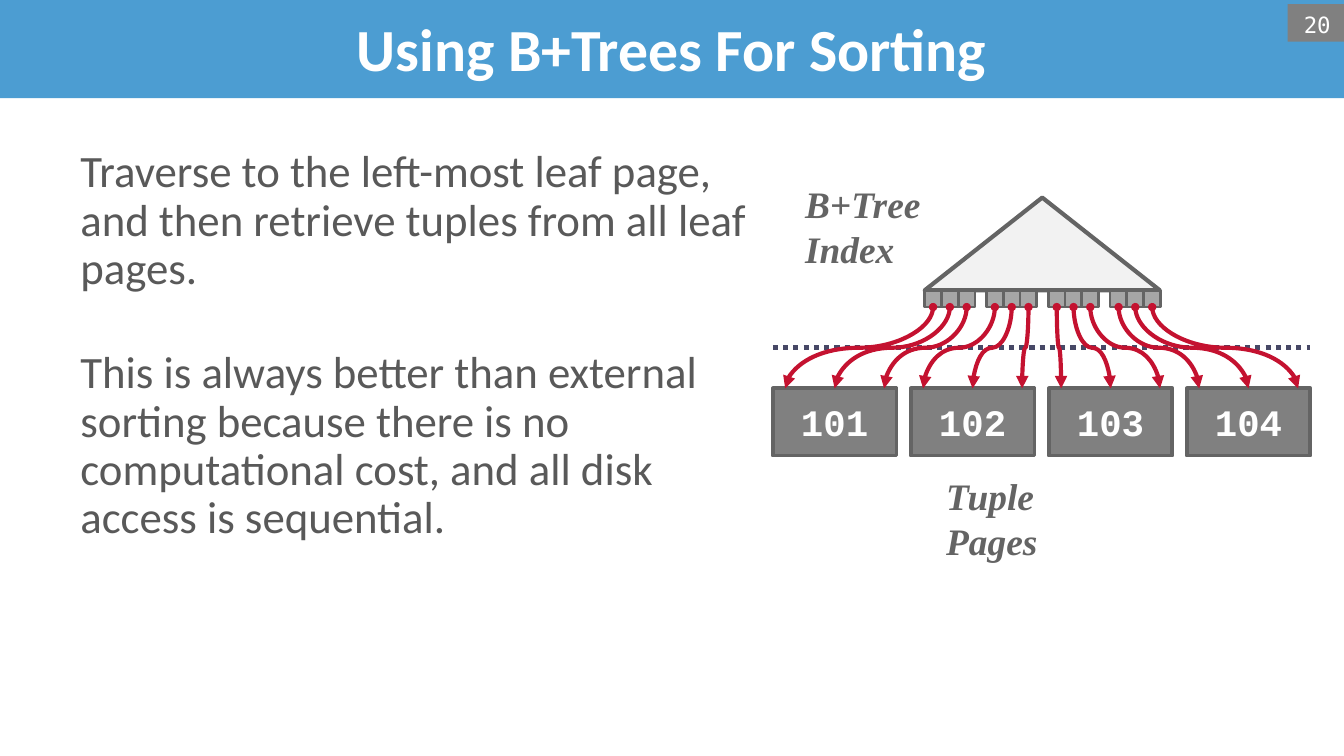
from pptx import Presentation
from pptx.util import Inches, Pt
from pptx.dml.color import RGBColor
from pptx.enum.dml import MSO_LINE
from pptx.enum.shapes import MSO_SHAPE, MSO_CONNECTOR
from pptx.enum.text import PP_ALIGN, MSO_ANCHOR
from pptx.oxml.ns import qn
from lxml.etree import SubElement

# Content
TITLE = "Using B+Trees For Sorting"
NUMBER = "20"
BODY = [
    "Traverse to the left-most leaf page, and then retrieve tuples from all leaf pages.",
    "This is always better than external sorting because there is no "
    "computational cost, and all disk access is sequential.",
]
PAGES = ["101", "102", "103", "104"]
LABELS = [("B+Tree Index", (5.92, 1.31, 1.59, 0.41)),
          ("Tuple Pages", (6.97, 3.48, 1.4, 0.41))]

COLORS = {"bar": "4C9DD2", "page": "808080", "leaf": "A6A6A6", "tree": "F2F2F2",
          "edge": "646464", "body": "595959", "white": "FFFFFF",
          "dots": "474866", "arrow": "C41230"}
FONTS = {
    "title": {"name": "Calibri", "size": Pt(32), "bold": True, "color": "white"},
    "number": {"name": "DejaVu Sans Mono", "size": Pt(12), "color": "white"},
    "body": {"name": "Calibri", "size": Pt(24), "color": "body"},
    "label": {"name": "Times New Roman", "size": Pt(20), "bold": True,
              "italic": True, "color": "edge"},
    "page": {"name": "Courier New", "size": Pt(20), "bold": True, "color": "white"},
}

# Diagram measures in inches
LEAF_X, LEAF_Y, LEAF_STEP, CELL, CELLS = 6.88, 2.16, 0.46, 0.125, 3
PAGE_X, PAGE_Y, PAGE_W, PAGE_H, SPAN = 5.75, 2.89, 0.92, 0.5, 4
PAGE_STEP = (SPAN - PAGE_W) / (len(PAGES) - 1)
SLOT = PAGE_W / 5

# Widescreen slide, 16 to 9
deck = Presentation()
deck.slide_width = Inches(10)
deck.slide_height = Inches(10 * 9 / 16)
slide = deck.slides.add_slide(deck.slide_layouts[6])
shapes = slide.shapes


def rgb(name):
    return RGBColor.from_string(COLORS[name])


def add_box(at, fill, line=None, kind=MSO_SHAPE.RECTANGLE):
    box = shapes.add_shape(kind, *map(Inches, at))
    box.shadow.inherit = False
    box.fill.solid()
    box.fill.fore_color.rgb = rgb(fill)
    if line:
        box.line.color.rgb = rgb("edge")
        box.line.width = Pt(line)
    else:
        box.line.fill.background()
    return box


def write(box, texts, style, align=PP_ALIGN.LEFT, anchor=MSO_ANCHOR.TOP,
          pad=(0.1, 0.05), gap=0, lead=None):
    frame = box.text_frame
    frame.word_wrap = True
    frame.vertical_anchor = anchor
    frame.margin_left = frame.margin_right = Inches(pad[0])
    frame.margin_top = frame.margin_bottom = Inches(pad[1])
    for i, text in enumerate(texts):
        para = frame.add_paragraph() if i else frame.paragraphs[0]
        para.text = text
        para.alignment = align
        para.line_spacing = lead
        para.space_before = Pt(gap if i else 0)
        for key, value in FONTS[style].items():
            if key == "color":
                para.font.color.rgb = rgb(value)
            else:
                setattr(para.font, key, value)


def add_line(kind, ends, color, width):
    line = shapes.add_connector(kind, *map(Inches, ends))
    SubElement(line._element.spPr, qn("a:effectLst"))
    line.line.color.rgb = rgb(color)
    line.line.width = Pt(width)
    return line


def add_curve(x1, y1, x2, y2):
    """Curve that leaves and arrives vertically: a turned horizontal curve."""
    mid_x, mid_y = (x1 + x2) / 2, (y1 + y2) / 2
    half_w, half_h = (y2 - y1) / 2, abs(x2 - x1) / 2
    side = 1 if x2 < x1 else -1
    curve = add_line(MSO_CONNECTOR.CURVE,
                     (mid_x - side * half_w, mid_y - half_h,
                      mid_x + side * half_w, mid_y + half_h), "arrow", 2.25)
    turn = 90 if side > 0 else 270
    curve._element.spPr.find(qn("a:xfrm")).set("rot", str(turn * 60000))
    stroke = curve.line._get_or_add_ln()
    for tag, head, size in (("a:headEnd", "oval", "sm"), ("a:tailEnd", "triangle", "med")):
        SubElement(stroke, qn(tag), type=head, w=size, len=size)


# Title bar, slide number and body
write(add_box((0, -0.02, 10, 0.75), "bar"), [TITLE], "title",
      PP_ALIGN.CENTER, MSO_ANCHOR.MIDDLE, (0, 0.05))
write(add_box((9.58, 0.03, 0.42, 0.28), "page"), [NUMBER], "number", PP_ALIGN.RIGHT)
body = shapes.add_textbox(*map(Inches, (0.5, 1.06, 5.2, 4)))
write(body, BODY, "body", gap=30, lead=0.9)

# Tree with its leaf cells
add_box((6.88, 1.47, 1.75, 0.69), "tree", 2.25, MSO_SHAPE.ISOSCELES_TRIANGLE)
for k in range(len(PAGES)):
    for i in range(CELLS):
        add_box((LEAF_X + k * LEAF_STEP + i * CELL, LEAF_Y, CELL, CELL), "leaf", 1.5)

# Dotted divider
mid = (LEAF_Y + CELL + PAGE_Y) / 2
rule = add_line(MSO_CONNECTOR.STRAIGHT, (PAGE_X, mid, PAGE_X + SPAN, mid), "dots", 2.75)
rule.line.dash_style = MSO_LINE.ROUND_DOT

# Tuple pages
for k, name in enumerate(PAGES):
    page = add_box((PAGE_X + k * PAGE_STEP, PAGE_Y, PAGE_W, PAGE_H), "page", 2)
    write(page, [name], "page", PP_ALIGN.CENTER, MSO_ANCHOR.MIDDLE, (0.05, 0.05))

# Pointers from each cell to every second slot of its page
for k in range(len(PAGES)):
    for i in range(CELLS):
        add_curve(LEAF_X + k * LEAF_STEP + (i + 0.5) * CELL, LEAF_Y + CELL,
                  PAGE_X + k * PAGE_STEP + (2 * i + 0.5) * SLOT, PAGE_Y)

# Labels
for text, at in LABELS:
    write(shapes.add_textbox(*map(Inches, at)), [text], "label", pad=(0.07, 0.04))

deck.save("out.pptx")
